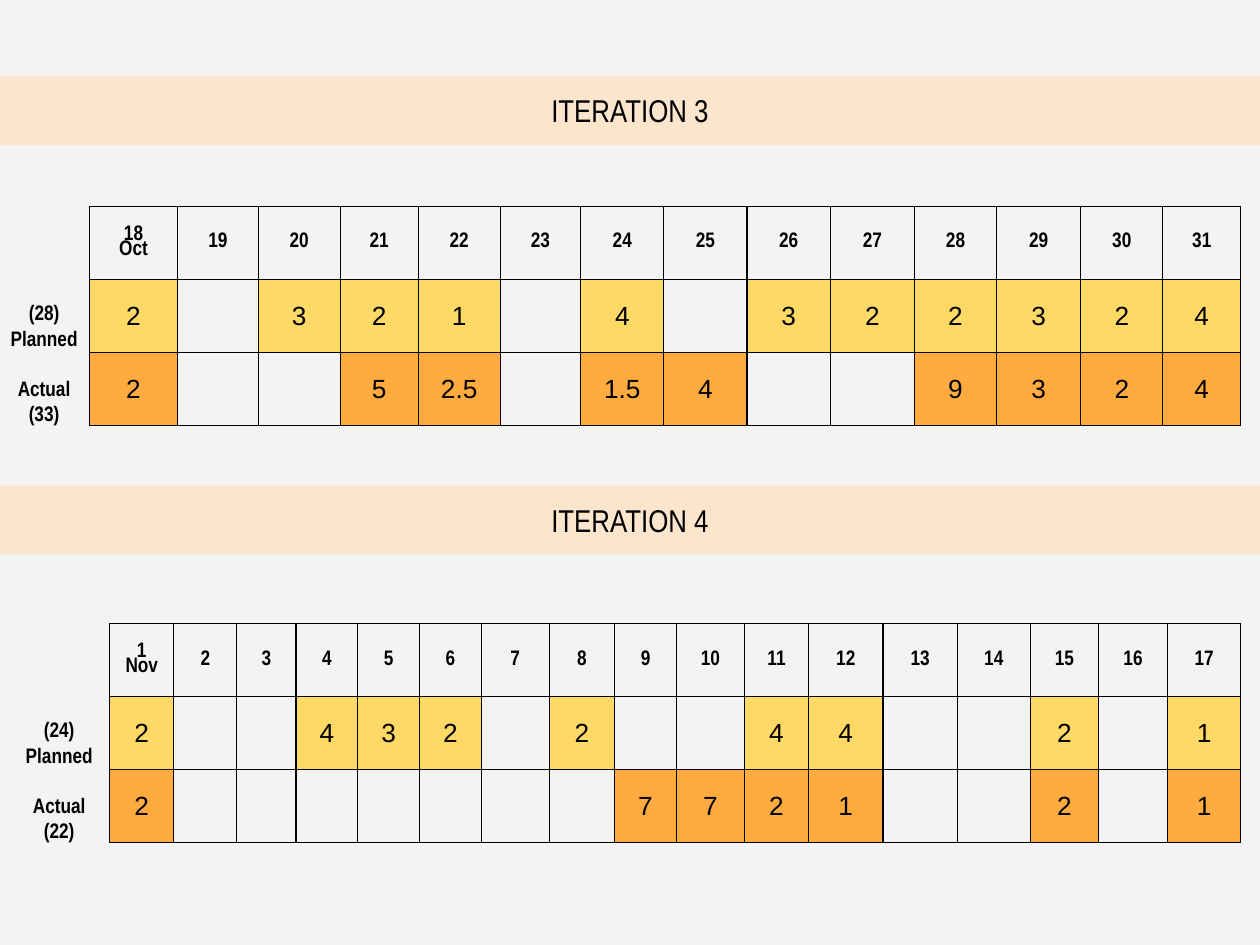
from dataclasses import dataclass

from lxml import etree
from pptx import Presentation, util as u
from pptx.dml.color import RGBColor
from pptx.enum import shapes, text
from pptx.oxml import ns


@dataclass(frozen=True)
class Theme:
    background: str = "F3F3F3"
    banner: str = "FCE5CD"
    planned: str = "FFD966"
    actual: str = "FFAB40"
    ink: str = "000000"
    narrow: str = "Arial Narrow"
    body: str = "Arial"
    banner_size: float = 18
    label_size: float = 12
    hours_size: float = 15
    border: float = 0.75


@dataclass(frozen=True)
class Iteration:
    title: str
    banner_top: float
    table_left: float
    table_top: float
    label_center: float
    first_day: int
    month: str
    columns: tuple[float, ...]
    planned: dict[int, float]
    actual: dict[int, float]


THEME = Theme()
SLIDE_WIDTH, SLIDE_HEIGHT = 10, 7.5
ROW_HEIGHT = 0.58
BOX_HEIGHT = 0.55
LABEL_OFFSET, LABEL_STEP = 0.64, 0.6
HEADER_SPACING = 0.8

ITERATIONS = (
    Iteration(
        "ITERATION 3", 0.6, 0.71, 1.64, 0.35, 18, "Oct",
        (0.7, 0.64, 0.65, 0.62, 0.65, 0.64, 0.66, 0.66, 0.66, 0.67, 0.65, 0.67, 0.65, 0.62),
        {18: 2, 20: 3, 21: 2, 22: 1, 24: 4, 26: 3, 27: 2, 28: 2, 29: 3, 30: 2, 31: 4},
        {18: 2, 21: 5, 22: 2.5, 24: 1.5, 25: 4, 28: 9, 29: 3, 30: 2, 31: 4},
    ),
    Iteration(
        "ITERATION 4", 3.85, 0.87, 4.95, 0.47, 1, "Nov",
        (0.51, 0.5, 0.47, 0.49, 0.49, 0.49, 0.54, 0.52, 0.49, 0.54, 0.51, 0.59, 0.59,
         0.58, 0.54, 0.55, 0.58),
        {1: 2, 4: 4, 5: 3, 6: 2, 8: 2, 11: 4, 12: 4, 15: 2, 17: 1},
        {1: 2, 9: 7, 10: 7, 11: 2, 12: 1, 15: 2, 17: 1},
    ),
)


def paint(fill, color: str) -> None:
    fill.solid()
    fill.fore_color.rgb = RGBColor.from_string(color)


def write(frame, words: str, size: float, font: str, bold: bool = False) -> None:
    frame.text = words
    font_format = {"size": u.Pt(size), "name": font, "bold": bold}
    for paragraph in frame.paragraphs:
        paragraph.alignment = text.PP_ALIGN.CENTER
        for run in paragraph.runs:
            for key, value in font_format.items():
                setattr(run.font, key, value)
            run.font.color.rgb = RGBColor.from_string(THEME.ink)


def format_frame(frame, anchor) -> None:
    frame_format = {
        "word_wrap": True,
        "auto_size": text.MSO_AUTO_SIZE.NONE,
        "vertical_anchor": anchor,
        **{f"margin_{side}": u.Inches(0.1) for side in ("left", "top", "right", "bottom")},
    }
    for key, value in frame_format.items():
        setattr(frame, key, value)


def format_banner(banner, title: str) -> None:
    paint(banner.fill, THEME.banner)
    banner.line.fill.background()
    format_frame(banner.text_frame, text.MSO_ANCHOR.MIDDLE)
    write(banner.text_frame, title, THEME.banner_size, THEME.narrow)


def add_banner(slide, iteration: Iteration) -> None:
    """Use the title placeholder first, then plain rectangles."""
    place = [u.Inches(n) for n in (0, iteration.banner_top, SLIDE_WIDTH, BOX_HEIGHT)]
    title = slide.shapes.title
    if title.has_text_frame and not title.text_frame.text:
        banner = title
        for key, value in zip(("left", "top", "width", "height"), place):
            setattr(banner, key, value)
    else:
        banner = slide.shapes.add_shape(shapes.MSO_SHAPE.RECTANGLE, *place)
        banner.shadow.inherit = False
    format_banner(banner, iteration.title)


def add_borders(cell) -> None:
    properties = cell._tc.get_or_add_tcPr()
    for side in ("a:lnL", "a:lnR", "a:lnT", "a:lnB"):
        line = etree.SubElement(properties, ns.qn(side), w=str(u.Pt(THEME.border)))
        solid = etree.SubElement(line, ns.qn("a:solidFill"))
        etree.SubElement(solid, ns.qn("a:srgbClr"), val=THEME.ink)


def format_cell(cell, color: str | None) -> None:
    cell_format = {
        "vertical_anchor": text.MSO_ANCHOR.MIDDLE,
        "margin_left": u.Inches(0.1),
        "margin_right": u.Inches(0.1),
        "margin_top": u.Inches(0.13),
        "margin_bottom": u.Inches(0.13),
    }
    for key, value in cell_format.items():
        setattr(cell, key, value)
    add_borders(cell)
    if color:
        paint(cell.fill, color)
    else:
        cell.fill.background()


def add_hours_table(slide, iteration: Iteration) -> None:
    columns = iteration.columns
    table = slide.shapes.add_table(
        3, len(columns), u.Inches(iteration.table_left), u.Inches(iteration.table_top),
        u.Inches(sum(columns)), u.Inches(3 * ROW_HEIGHT),
    ).table
    table.first_row = table.horz_banding = False
    for row in table.rows:
        row.height = u.Inches(ROW_HEIGHT)
    for index, width in enumerate(columns):
        table.columns[index].width = u.Inches(width)
        day = iteration.first_day + index
        header = table.cell(0, index)
        format_cell(header, None)
        date = f"{day}\v{iteration.month}" if index == 0 else str(day)
        write(header.text_frame, date, THEME.label_size, THEME.narrow, True)
        header.text_frame.paragraphs[0].line_spacing = HEADER_SPACING
        for row, (hours, color) in enumerate(
            ((iteration.planned, THEME.planned), (iteration.actual, THEME.actual)), 1
        ):
            cell = table.cell(row, index)
            format_cell(cell, color if day in hours else None)
            if day in hours:
                write(cell.text_frame, str(hours[day]), THEME.hours_size, THEME.body)


def add_row_labels(slide, iteration: Iteration) -> None:
    labels = (
        (f"({sum(iteration.planned.values())})\nPlanned", 0.79),
        (f"Actual\n({sum(iteration.actual.values()):g})", 0.71),
    )
    # The Actual total counts whole and half hours as logged
    for row, (words, width) in enumerate(labels):
        top = iteration.table_top + LABEL_OFFSET + row * LABEL_STEP
        label = slide.shapes.add_textbox(
            u.Inches(iteration.label_center - width / 2), u.Inches(top),
            u.Inches(width), u.Inches(BOX_HEIGHT),
        )
        format_frame(label.text_frame, text.MSO_ANCHOR.TOP)
        write(label.text_frame, words, THEME.label_size, THEME.narrow, True)


def main() -> None:
    deck = Presentation()
    deck.slide_width, deck.slide_height = u.Inches(SLIDE_WIDTH), u.Inches(SLIDE_HEIGHT)
    slide = deck.slides.add_slide(deck.slide_layouts.get_by_name("Title Only"))
    paint(slide.background.fill, THEME.background)
    for iteration in ITERATIONS:
        add_hours_table(slide, iteration)
        add_row_labels(slide, iteration)
        add_banner(slide, iteration)
    deck.save("out.pptx")


if __name__ == "__main__":
    main()
